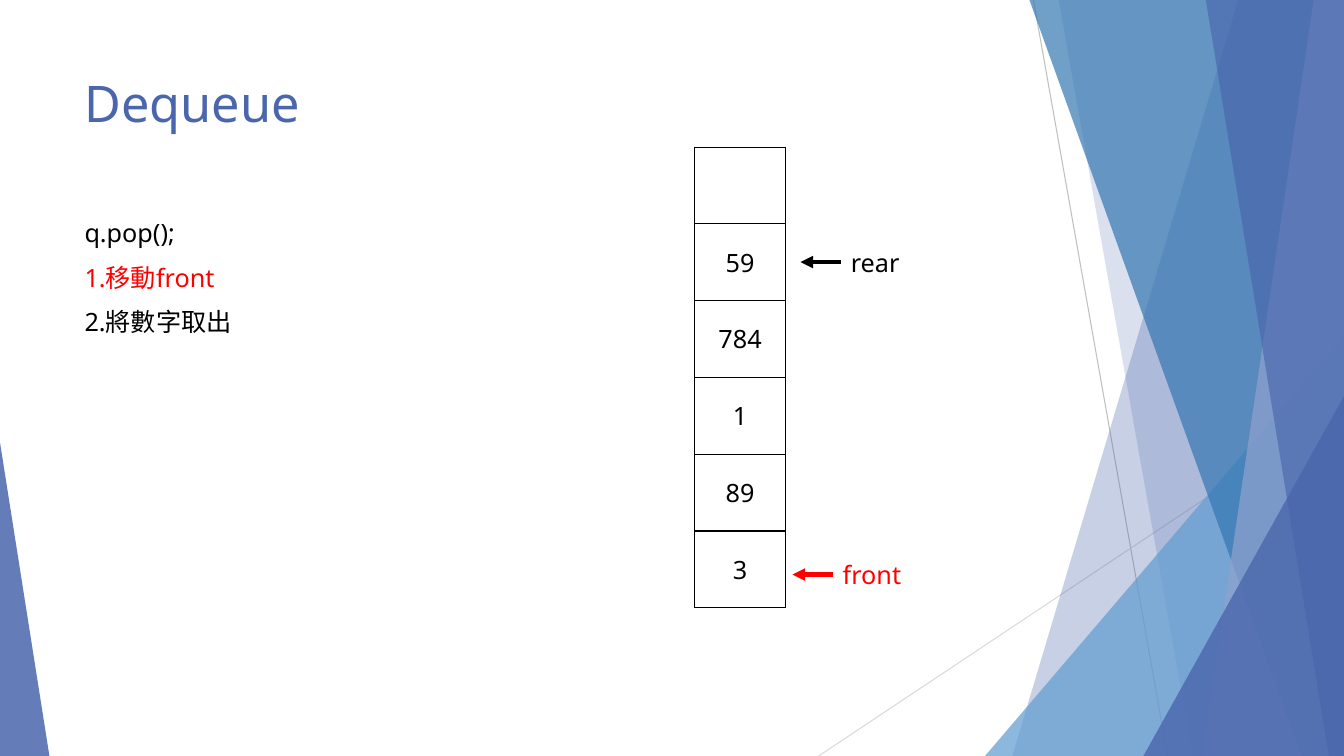
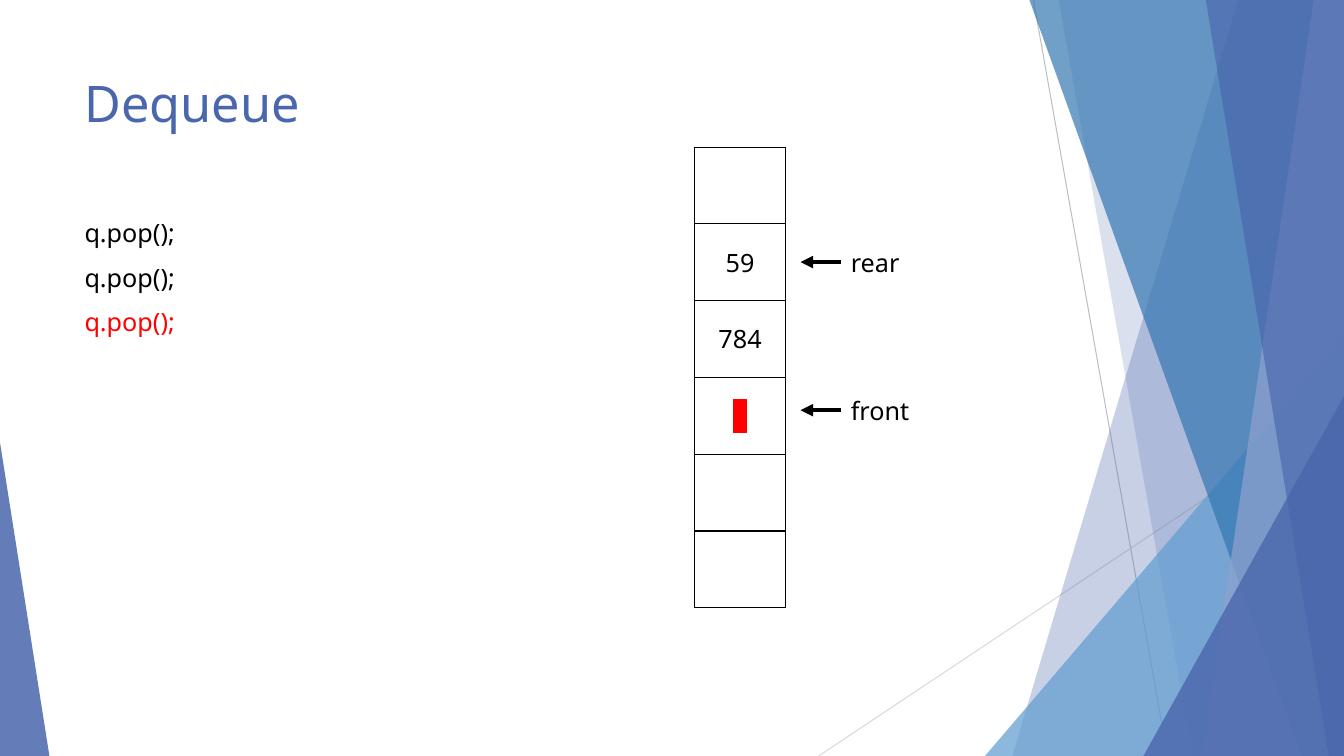
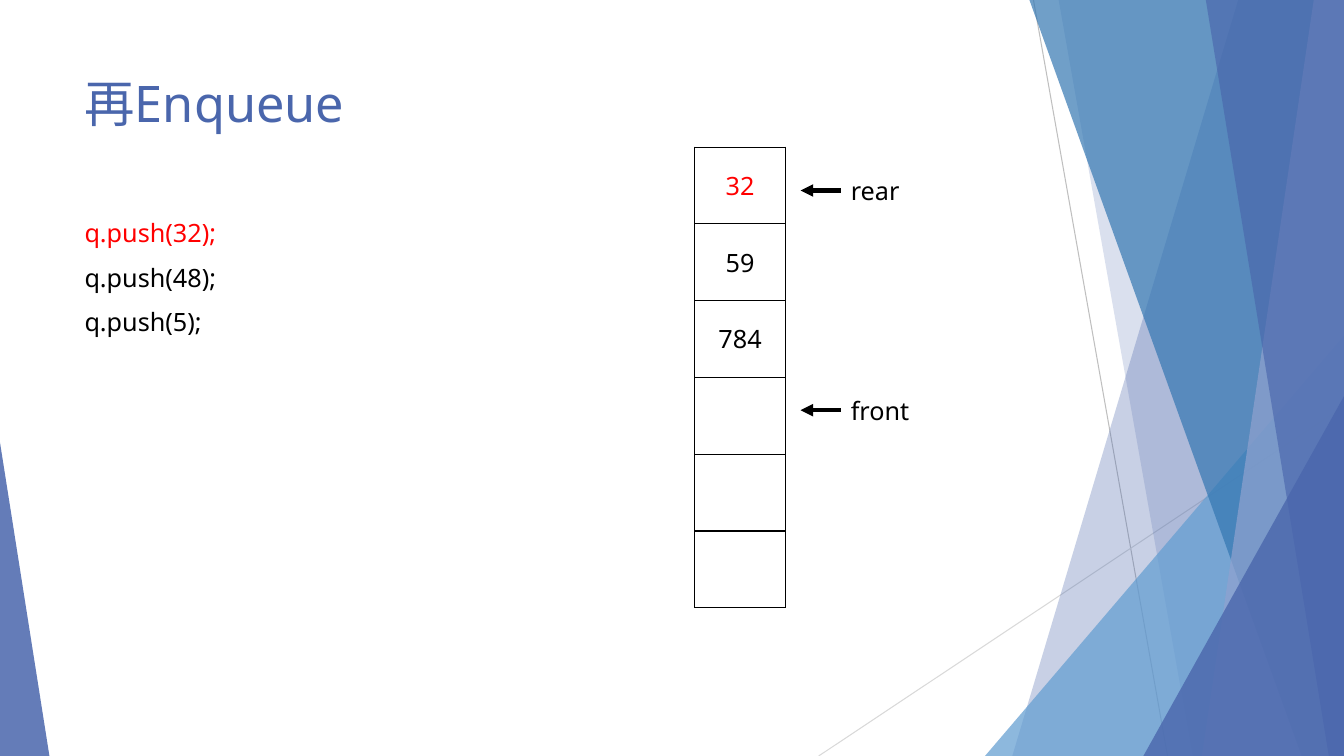
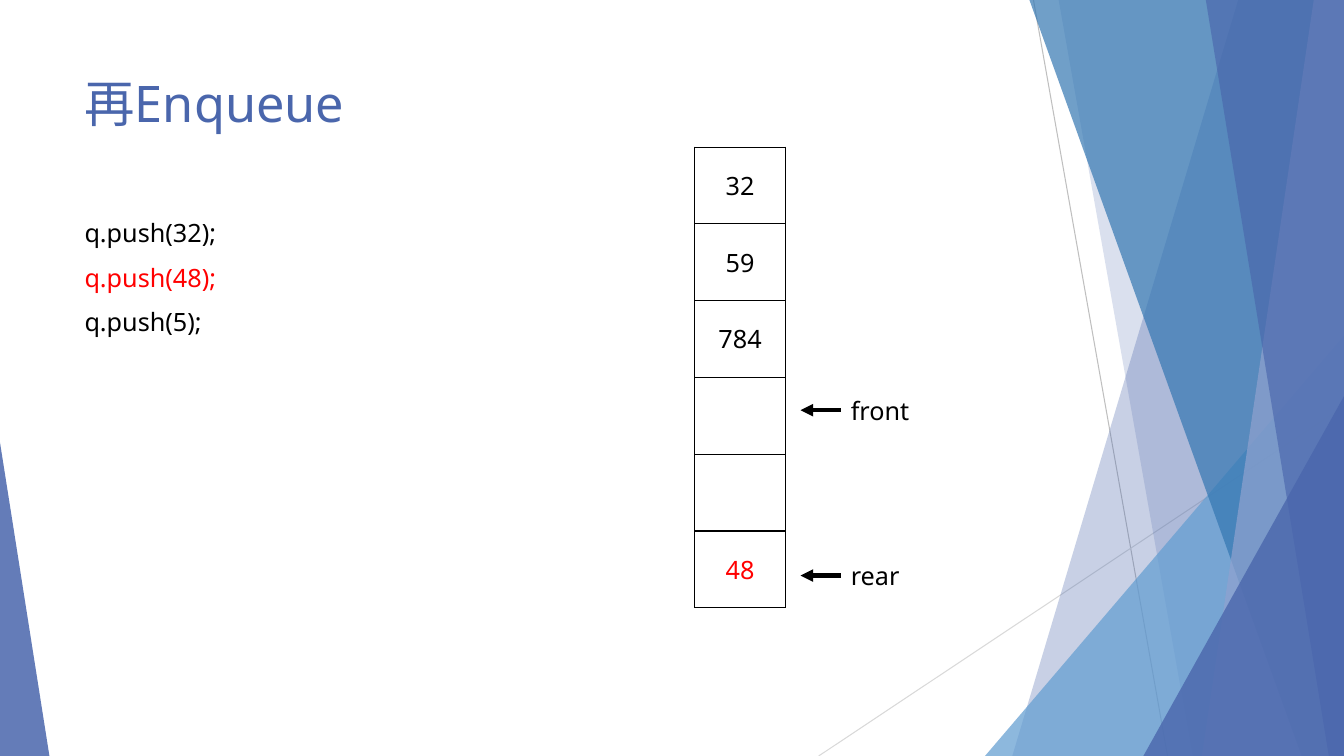
from dataclasses import dataclass

from lxml import etree
from pptx import Presentation
from pptx.dml.color import RGBColor
from pptx.enum.shapes import MSO_CONNECTOR, MSO_SHAPE
from pptx.enum.text import MSO_ANCHOR, MSO_AUTO_SIZE, PP_ALIGN
from pptx.oxml.ns import qn
from pptx.util import Inches, Pt

STRAIGHT = MSO_CONNECTOR.STRAIGHT
TRIANGLE = MSO_SHAPE.ISOSCELES_TRIANGLE
MIDDLE = MSO_ANCHOR.MIDDLE
CENTER = PP_ALIGN.CENTER
GROW = MSO_AUTO_SIZE.SHAPE_TO_FIT_TEXT

SLIDE_W, SLIDE_H = 13.33, 7.5


@dataclass(frozen=True)
class Theme:
    font: str = "Noto Sans"
    title_size: float = 36
    body_size: float = 18
    paragraph_gap: float = 10
    border: float = 1
    arrow: float = 3
    hairline: float = 0.75
    text: str = "000000"
    highlight: str = "FF0000"
    accent: str = "4A66AC"
    sky: str = "629DD1"
    ocean: str = "3477B2"
    mist: str = "90A2CF"
    grey: str = "BFBFBF"
    light_grey: str = "D9D9D9"


class Deck:
    def __init__(self, theme):
        self.theme = theme
        self.presentation = Presentation()
        self.presentation.slide_width = Inches(SLIDE_W)
        self.presentation.slide_height = Inches(SLIDE_H)
        self.slide = None

    # Shared style
    def style_run(self, run, size, color):
        run.font.name = self.theme.font
        run.font.size = Pt(size)
        run.font.color.rgb = RGBColor.from_string(color)

    def style_fill(self, shape, color, opacity):
        shape.shadow.inherit = False
        shape.line.fill.background()
        shape.fill.solid()
        shape.fill.fore_color.rgb = RGBColor.from_string(color)
        rgb = next(shape.element.spPr.iter(qn("a:srgbClr")))
        etree.SubElement(rgb, qn("a:alpha"), val=str(opacity * 1000))

    # Basic elements
    def line(self, start, end, color, width, arrow=False):
        ends = [Inches(v) for v in (*start, *end)]
        connector = self.slide.shapes.add_connector(STRAIGHT, *ends)
        connector.line.color.rgb = RGBColor.from_string(color)
        connector.line.width = Pt(width)
        if arrow:
            outline = connector.line._get_or_add_ln()
            etree.SubElement(outline, qn("a:tailEnd"), type="triangle")
        etree.SubElement(connector.element.spPr, qn("a:effectLst"))

    def band(self, top_x, bottom_x, color, opacity):
        """Band from a slanted left edge to the right side of the slide."""
        corners = [(SLIDE_W, 0), (SLIDE_W, SLIDE_H), (bottom_x, SLIDE_H)]
        builder = self.slide.shapes.build_freeform(Inches(top_x), 0)
        builder.add_line_segments([(Inches(x), Inches(y)) for x, y in corners])
        self.style_fill(builder.convert_to_shape(), color, opacity)

    def wedge(self, left, top, width, apex, color, opacity):
        """Triangle that stands on the bottom edge of the slide."""
        wedge = self.slide.shapes.add_shape(
            TRIANGLE, Inches(left), Inches(top),
            Inches(width), Inches(SLIDE_H - top))
        wedge.adjustments[0] = apex
        self.style_fill(wedge, color, opacity)

    def text(self, box, lines, size, gap=0, grow=False):
        """Write (text, color) lines, one paragraph each."""
        frame = self.slide.shapes.add_textbox(*map(Inches, box)).text_frame
        frame.word_wrap = True
        if grow:
            frame.auto_size = GROW
        frame.text = "\n".join(content for content, _ in lines)
        for paragraph, (_, color) in zip(frame.paragraphs, lines):
            paragraph.space_before = Pt(gap)
            self.style_run(paragraph.runs[0], size, color)

    # Slide parts
    def backdrop(self):
        t = self.theme
        self.line((10.25, 0), (11.58, SLIDE_H), t.grey, t.hairline)
        self.line((SLIDE_W, 4.03), (8.12, SLIDE_H), t.light_grey, t.hairline)
        self.band(12.28, 10.04, t.accent, 30)
        self.band(10.5, 11.83, t.accent, 20)
        self.wedge(9.77, 3.33, 3.56, 1, t.sky, 72)
        self.band(10.21, 12.91, t.ocean, 70)
        self.band(13.03, 11.92, t.mist, 70)
        self.band(11.96, 13.18, t.accent, 65)
        self.wedge(11.34, 3.93, 1.99, 1, t.accent, 80)
        self.wedge(0, 4.39, 0.49, 0, t.accent, 85)

    def new_slide(self, title, code, active, code_height=3.04):
        """Start a slide; the code line numbered active is highlighted."""
        t = self.theme
        blank = self.presentation.slide_layouts[6]
        self.slide = self.presentation.slides.add_slide(blank)
        self.backdrop()
        self.text((0.74, 0.67, 9.4, 1.44), [(title, t.accent)], t.title_size)
        lines = [(step, t.highlight if i == active else t.text)
                 for i, step in enumerate(code)]
        self.text((0.74, 2.11, 3.7, code_height), lines, t.body_size,
                  t.paragraph_gap)

    def queue(self, values, active=None, erased=False):
        """Queue cells from top to bottom; an erased value is blotted out."""
        t = self.theme
        frame = self.slide.shapes.add_table(
            len(values), 1, Inches(6.89), Inches(1.46),
            Inches(0.9), Inches(4.57))
        table = frame.table
        table.first_row = table.horz_banding = False
        for i, value in enumerate(values):
            cell = table.cell(i, 0)
            cell.fill.background()
            cell.vertical_anchor = MIDDLE
            self.cell_borders(cell)
            if not value:
                continue
            cell.text_frame.text = value
            paragraph = cell.text_frame.paragraphs[0]
            paragraph.alignment = CENTER
            run = paragraph.runs[0]
            self.style_run(run, t.body_size,
                           t.highlight if i == active else t.text)
            if erased and i == active:
                marker = etree.Element(qn("a:highlight"))
                etree.SubElement(marker, qn("a:srgbClr"), val=t.highlight)
                properties = run._r.get_or_add_rPr()
                properties.find(qn("a:solidFill")).addnext(marker)

    def cell_borders(self, cell):
        properties = cell._tc.get_or_add_tcPr()
        for i, side in enumerate(("a:lnL", "a:lnR", "a:lnT", "a:lnB")):
            border = etree.Element(qn(side), w=str(Pt(self.theme.border)))
            fill = etree.SubElement(border, qn("a:solidFill"))
            etree.SubElement(fill, qn("a:srgbClr"), val=self.theme.text)
            properties.insert(i, border)

    def pointer(self, name, y, x=8.34, active=False):
        """Arrow towards the queue with its name on the right."""
        t = self.theme
        color = t.highlight if active else t.text
        self.line((x, y), (x - 0.4, y), color, t.arrow, arrow=True)
        self.text((x, y - 0.2, 1.24, 0.4), [(name, color)], t.body_size,
                  grow=True)


deck = Deck(Theme())
FRONT_Y = 4.07
pushes = ["q.push(32);", "q.push(48);", "q.push(5);"]

# Dequeue: move front, then take the number out
deck.new_slide("Dequeue", ["q.pop();", "1.移動front", "2.將數字取出"], active=1)
deck.queue(["", "59", "784", "1", "89", "3"])
deck.pointer("front", 5.7, x=8.26, active=True)
deck.pointer("rear", 2.6)

# Dequeue: third pop
deck.new_slide("Dequeue", ["q.pop();"] * 3, active=2)
deck.queue(["", "59", "784", "1", "", ""], active=3, erased=True)
deck.pointer("rear", 2.6)
deck.pointer("front", FRONT_Y)

# Enqueue again: fill the top cell
deck.new_slide("再Enqueue", pushes, active=0, code_height=1.64)
deck.queue(["32", "59", "784", "", "", ""], active=0)
deck.pointer("rear", 1.89)
deck.pointer("front", FRONT_Y)

# Enqueue again: rear wraps around to the bottom cell
deck.new_slide("再Enqueue", pushes, active=1)
deck.queue(["32", "59", "784", "", "", "48"], active=5)
deck.pointer("rear", 5.71)
deck.pointer("front", FRONT_Y)

deck.presentation.save("out.pptx")
